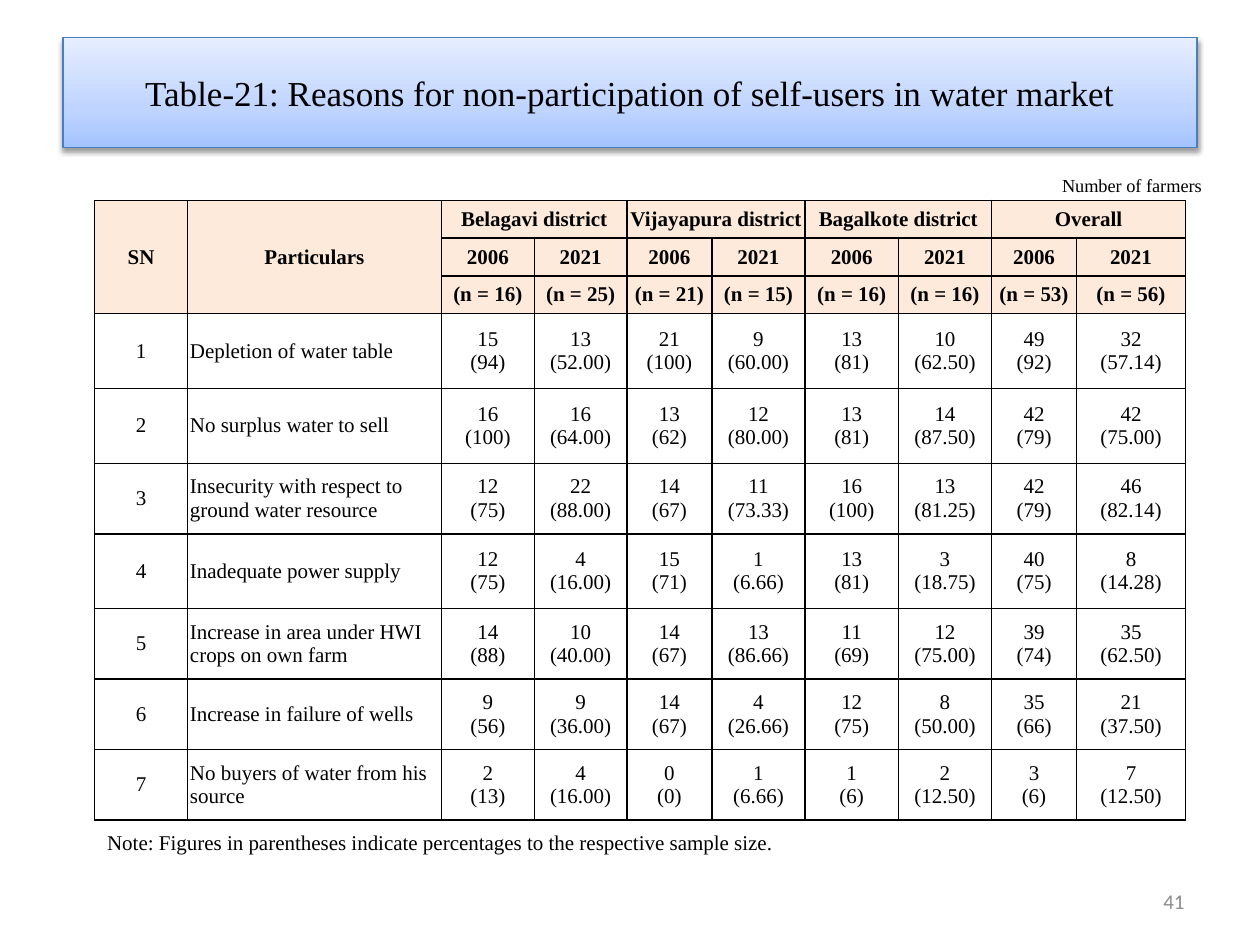
from copy import deepcopy

from lxml import etree
from pptx import Presentation
from pptx.dml.color import RGBColor
from pptx.enum.text import MSO_ANCHOR, PP_ALIGN
from pptx.oxml import parse_xml
from pptx.oxml.ns import nsdecls, qn
from pptx.util import Cm, Pt

LEFT, CENTER, RIGHT = PP_ALIGN.LEFT, PP_ALIGN.CENTER, PP_ALIGN.RIGHT
MIDDLE = MSO_ANCHOR.MIDDLE
SERIF = "Times New Roman"


def color(hex_string):
    return RGBColor.from_string(hex_string)


def write(frame, lines, size, align=LEFT, bold=False, face=SERIF, ink="000000"):
    for i, line in enumerate(lines):
        paragraph = frame.paragraphs[0] if i == 0 else frame.add_paragraph()
        paragraph.alignment = align
        run = paragraph.add_run()
        run.text = line
        run.font.size = Pt(size)
        run.font.name = face
        run.font.bold = bold
        run.font.color.rgb = color(ink)


prs = Presentation()
prs.slide_width, prs.slide_height = Cm(25.4), Cm(19.05)
slide = prs.slides.add_slide(prs.slide_layouts[5])

# Title banner: gradient, thin outline, soft shadow below
title = slide.shapes.title
title.left, title.top, title.width, title.height = Cm(1.27), Cm(0.76), Cm(22.86), Cm(2.21)
title.text_frame.vertical_anchor = MIDDLE
write(title.text_frame,
      ["Table-21: Reasons for non-participation of self-users in water market"], 20, CENTER)
title.fill.gradient()
title.fill.gradient_angle = 90
stop_list = title._element.spPr.find(qn("a:gradFill")).find(qn("a:gsLst"))
stop_list.insert(1, deepcopy(stop_list[0]))
banner_stops = [(0, "A4C4FF"), (0.35, "BFD4FF"), (1, "E6EEFF")]
for stop, (position, tint) in zip(title.fill.gradient_stops, banner_stops):
    stop.position = position
    stop.color.rgb = color(tint)
title.line.color.rgb = color("4B7EBC")
title.line.width = Pt(0.75)
title._element.spPr.append(parse_xml(
    f'<a:effectLst {nsdecls("a")}><a:outerShdw blurRad="{Pt(3.1)}" dist="{Pt(1.6)}" '
    'dir="5400000" rotWithShape="0"><a:srgbClr val="000000"><a:alpha val="38000"/>'
    '</a:srgbClr></a:outerShdw></a:effectLst>'))

# Table content: each result pairs a count with its percentage
districts = ["Belagavi district", "Vijayapura district", "Bagalkote district", "Overall"]
sample_sizes = [16, 25, 21, 15, 16, 16, 53, 56]
reasons = [
    ("Depletion of water table",
     "15 94, 13 52.00, 21 100, 9 60.00, 13 81, 10 62.50, 49 92, 32 57.14"),
    ("No surplus water to sell",
     "16 100, 16 64.00, 13 62, 12 80.00, 13 81, 14 87.50, 42 79, 42 75.00"),
    ("Insecurity with respect to ground water resource",
     "12 75, 22 88.00, 14 67, 11 73.33, 16 100, 13 81.25, 42 79, 46 82.14"),
    ("Inadequate power supply",
     "12 75, 4 16.00, 15 71, 1 6.66, 13 81, 3 18.75, 40 75, 8 14.28"),
    ("Increase in area under HWI crops on own farm",
     "14 88, 10 40.00, 14 67, 13 86.66, 11 69, 12 75.00, 39 74, 35 62.50"),
    ("Increase in failure of wells",
     "9 56, 9 36.00, 14 67, 4 26.66, 12 75, 8 50.00, 35 66, 21 37.50"),
    ("No buyers of water from his source",
     "2 13, 4 16.00, 0 0, 1 6.66, 1 6, 2 12.50, 3 6, 7 12.50"),
]
column_widths = [1.87, 5.12, 1.87, 1.87, 1.71, 1.88, 1.88, 1.88, 1.71, 2.2]
row_heights = [0.76] * 3 + [1.51, 1.51, 1.42, 1.51, 1.42, 1.42, 1.42]
HEADER_ROWS = 3

# Table grid
table = slide.shapes.add_table(
    len(row_heights), len(column_widths), Cm(1.91), Cm(4.04),
    Cm(sum(column_widths)), Cm(sum(row_heights))).table
for column, width in zip(table.columns, column_widths):
    column.width = Cm(width)
for row, height in zip(table.rows, row_heights):
    row.height = Cm(height)

# Cell margins, borders and fills
for r in range(len(row_heights)):
    for c in range(len(column_widths)):
        cell = table.cell(r, c)
        cell.vertical_anchor = MIDDLE
        cell.margin_left = cell.margin_right = Cm(0.05)
        cell.margin_top = cell.margin_bottom = 0
        cell_properties = cell._tc.get_or_add_tcPr()
        for side in ("lnL", "lnR", "lnT", "lnB"):
            border = etree.SubElement(cell_properties, qn(f"a:{side}"), w=str(Pt(1)))
            border_fill = etree.SubElement(border, qn("a:solidFill"))
            etree.SubElement(border_fill, qn("a:srgbClr"), val="000000")
        if r < HEADER_ROWS:
            cell.fill.solid()
            cell.fill.fore_color.rgb = color("FDEADA")
        else:
            cell.fill.background()

# Header rows
for c, heading in enumerate(["SN", "Particulars"]):
    table.cell(0, c).merge(table.cell(HEADER_ROWS - 1, c))
    write(table.cell(0, c).text_frame, [heading], 12, CENTER, bold=True)
for i, district in enumerate(districts):
    first = 2 + 2 * i
    table.cell(0, first).merge(table.cell(0, first + 1))
    write(table.cell(0, first).text_frame, [district], 12, CENTER, bold=True)
for i, sample_size in enumerate(sample_sizes):
    year = ["2006", "2021"][i % 2]
    write(table.cell(1, 2 + i).text_frame, [year], 12, CENTER, bold=True)
    write(table.cell(2, 2 + i).text_frame, [f"(n = {sample_size})"], 12, CENTER, bold=True)

# Reason rows
for number, (reason, results) in enumerate(reasons, start=1):
    r = HEADER_ROWS + number - 1
    write(table.cell(r, 0).text_frame, [str(number)], 12, CENTER)
    write(table.cell(r, 1).text_frame, [reason], 12)
    for c, result in enumerate(results.split(", "), start=2):
        count, percentage = result.split()
        write(table.cell(r, c).text_frame, [count, f"({percentage})"], 12, CENTER)

# Note below the table
note = slide.shapes.add_textbox(Cm(1.91), Cm(16.59), Cm(14.4), Cm(0.77)).text_frame
note.word_wrap = True
write(note, ["Note: Figures in parentheses indicate percentages to the respective sample size."], 12)

# Unit label above the table
unit = slide.shapes.add_textbox(Cm(21.16), Cm(3.38), Cm(3.48), Cm(0.71)).text_frame
unit.word_wrap = False
write(unit, ["Number of farmers"], 10.5)

# Page number
page = slide.shapes.add_textbox(Cm(18.2), Cm(17.66), Cm(5.93), Cm(1.01)).text_frame
page.word_wrap = True
page.vertical_anchor = MIDDLE
write(page, ["41"], 12, RIGHT, face="Calibri", ink="8C8C8C")

prs.save("out.pptx")
